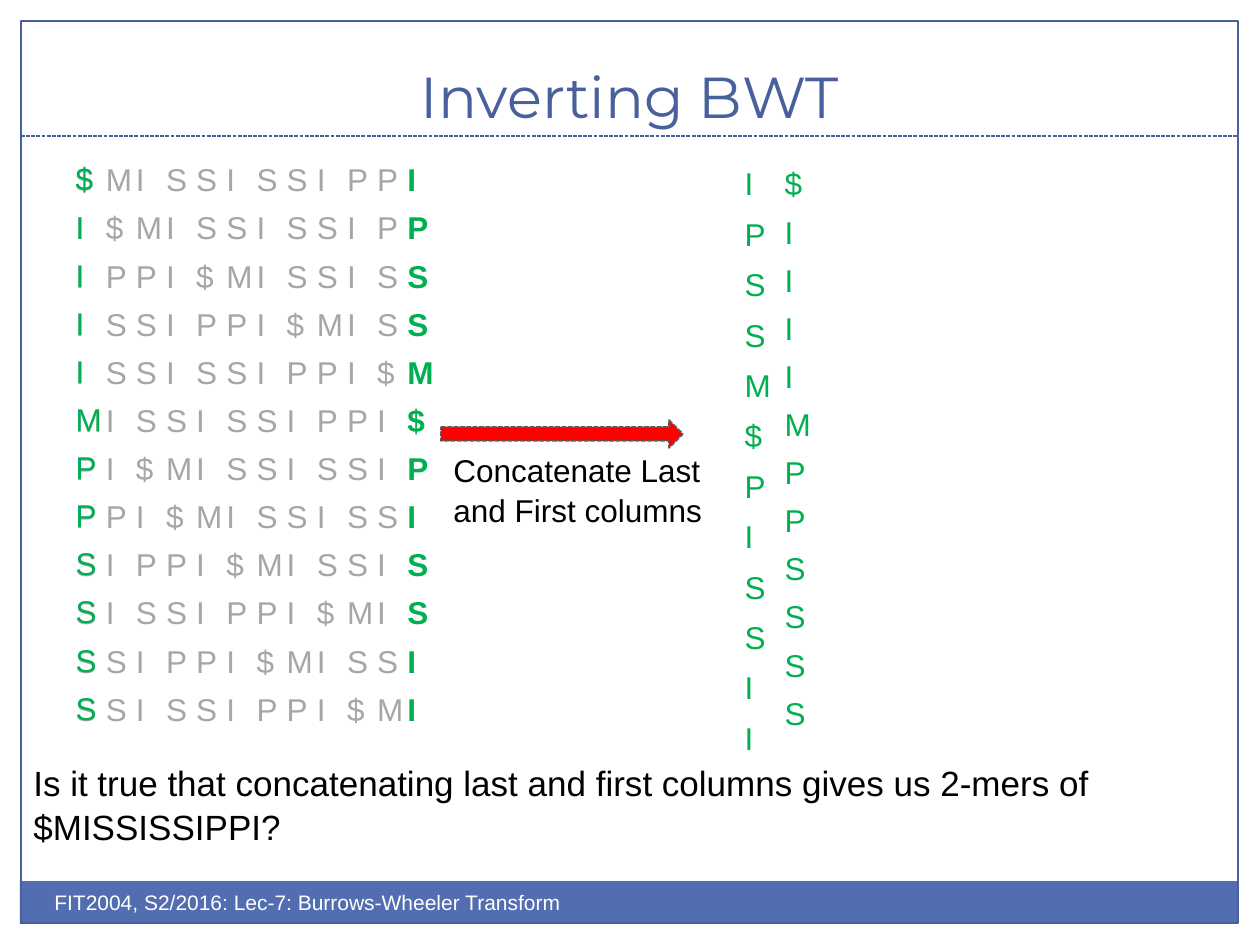
from pptx import Presentation
from pptx.dml.color import RGBColor
from pptx.enum.dml import MSO_LINE
from pptx.enum.shapes import MSO_CONNECTOR, MSO_SHAPE
from pptx.enum.text import MSO_ANCHOR, MSO_AUTO_SIZE, PP_ALIGN
from pptx.oxml.ns import qn
from pptx.util import Emu, Pt
from lxml.etree import SubElement

NAVY = RGBColor(0x48, 0x60, 0x9B)
BLUE = RGBColor(0x52, 0x6D, 0xB0)
WHITE = RGBColor(0xFF, 0xFF, 0xFF)
BLACK = RGBColor(0x00, 0x00, 0x00)
GREEN = RGBColor(0x00, 0xB0, 0x50)
GREY = RGBColor(0xA6, 0xA6, 0xA6)
RED = RGBColor(0xFF, 0x00, 0x00)
DARK = RGBColor(0x5A, 0x5A, 0x5A)

PX_PER_INCH = 126
NO_GRID = "{2D5ABB26-0587-4C30-8999-92F81FD0307C}"
LETTER_WIDTH = 30


def px(*lengths):
    return [Emu(round(length * 914400 / PX_PER_INCH)) for length in lengths]


class SlideBuilder:
    heading_font = "Montserrat"
    body_font = "Arial"

    def __init__(self, presentation):
        self.slide = presentation.slides.add_slide(presentation.slide_layouts[5])
        self.shapes = self.slide.shapes

    def format_runs(self, paragraph, size, color, font=None, bold=False):
        for run in paragraph.runs:
            run.font.name = font or self.body_font
            run.font.size = Pt(size)
            run.font.color.rgb = color
            run.font.bold = bold

    def title(self, text, left, top, width, height):
        heading = self.shapes.title
        heading.left, heading.top, heading.width, heading.height = px(left, top, width, height)
        frame = heading.text_frame
        frame.text = text
        frame.vertical_anchor = MSO_ANCHOR.BOTTOM
        frame.auto_size = MSO_AUTO_SIZE.NONE
        frame.paragraphs[0].alignment = PP_ALIGN.CENTER
        self.format_runs(frame.paragraphs[0], 33, NAVY, self.heading_font)

    def text(self, text, left, top, width, height, size, color=BLACK, wrap=True, spacing=1.0):
        frame = self.shapes.add_textbox(*px(left, top, width, height)).text_frame
        frame.word_wrap = wrap
        frame.text = text
        for paragraph in frame.paragraphs:
            paragraph.line_spacing = spacing
            self.format_runs(paragraph, size, color)

    def shape(self, preset, left, top, width, height, fill=None, line=None, weight=0.75, dash=None):
        block = self.shapes.add_shape(preset, *px(left, top, width, height))
        block.shadow.inherit = False
        if fill is None:
            block.fill.background()
        else:
            block.fill.solid()
            block.fill.fore_color.rgb = fill
        if line is None:
            block.line.fill.background()
        else:
            self.stroke(block.line, line, weight, dash)

    def stroke(self, line, color, weight, dash):
        line.color.rgb = color
        line.width = Pt(weight)
        if dash is not None:
            line.dash_style = dash

    def line(self, x1, y1, x2, y2, color, weight, dash):
        divider = self.shapes.add_connector(MSO_CONNECTOR.STRAIGHT, *px(x1, y1, x2, y2))
        self.stroke(divider.line, color, weight, dash)
        SubElement(divider._element.spPr, qn("a:effectLst"))

    def letters(self, rows, left, top, height, color, last_color=None):
        columns = len(rows[0])
        table = self.shapes.add_table(
            len(rows), columns, *px(left, top, columns * LETTER_WIDTH, height)).table
        table.first_row = table.horz_banding = False
        table._tbl.tblPr.find(qn("a:tableStyleId")).text = NO_GRID
        for r, row in enumerate(rows):
            for c, letter in enumerate(row):
                cell = table.cell(r, c)
                cell.fill.background()
                cell.margin_bottom = px(4)[0]
                cell.text = letter
                paragraph = cell.text_frame.paragraphs[0]
                paragraph.alignment = PP_ALIGN.CENTER
                highlighted = last_color is not None and c == columns - 1
                self.format_runs(paragraph, 18, last_color if highlighted else color,
                                 bold=highlighted)


def main():
    presentation = Presentation()
    presentation.slide_width, presentation.slide_height = px(1260, 945)
    builder = SlideBuilder(presentation)

    word = "$MISSISSIPPI"
    rotations = sorted(word[i:] + word[:i] for i in range(len(word)))
    first_column = [rotation[0] for rotation in rotations]
    last_column = [rotation[-1] for rotation in rotations]

    builder.shape(MSO_SHAPE.RECTANGLE, 20, 881, 1218, 43, fill=BLUE)
    builder.shape(MSO_SHAPE.RECTANGLE, 21, 21, 1217, 902, line=NAVY)
    builder.line(21, 136, 1238, 136, NAVY, 0.75, MSO_LINE.SQUARE_DOT)
    builder.title("Inverting BWT", 42, 32, 1176, 104)
    builder.text("Is it true that concatenating last and first columns gives us 2-mers of "
                 "$MISSISSIPPI?", 21, 753, 1207, 110, 20, spacing=1.05)
    builder.text("FIT2004, S2/2016: Lec-7: Burrows-Wheeler Transform",
                 42, 883, 630, 50, 12, WHITE)

    builder.letters(rotations, 63, 157, 575, GREY, GREEN)
    builder.shape(MSO_SHAPE.RIGHT_ARROW, 441, 420, 242, 28, RED, DARK, 0.9,
                  MSO_LINE.SQUARE_DOT)
    builder.letters(first_column, 63, 156, 575, GREEN)
    builder.letters(first_column, 772, 161, 575, GREEN)
    builder.text("Concatenate Last\nand First columns", 441, 443, 275, 89, 18,
                 wrap=False, spacing=1.05)
    builder.letters(last_column, 732, 161, 605, GREEN)

    presentation.save("out.pptx")


if __name__ == "__main__":
    main()
